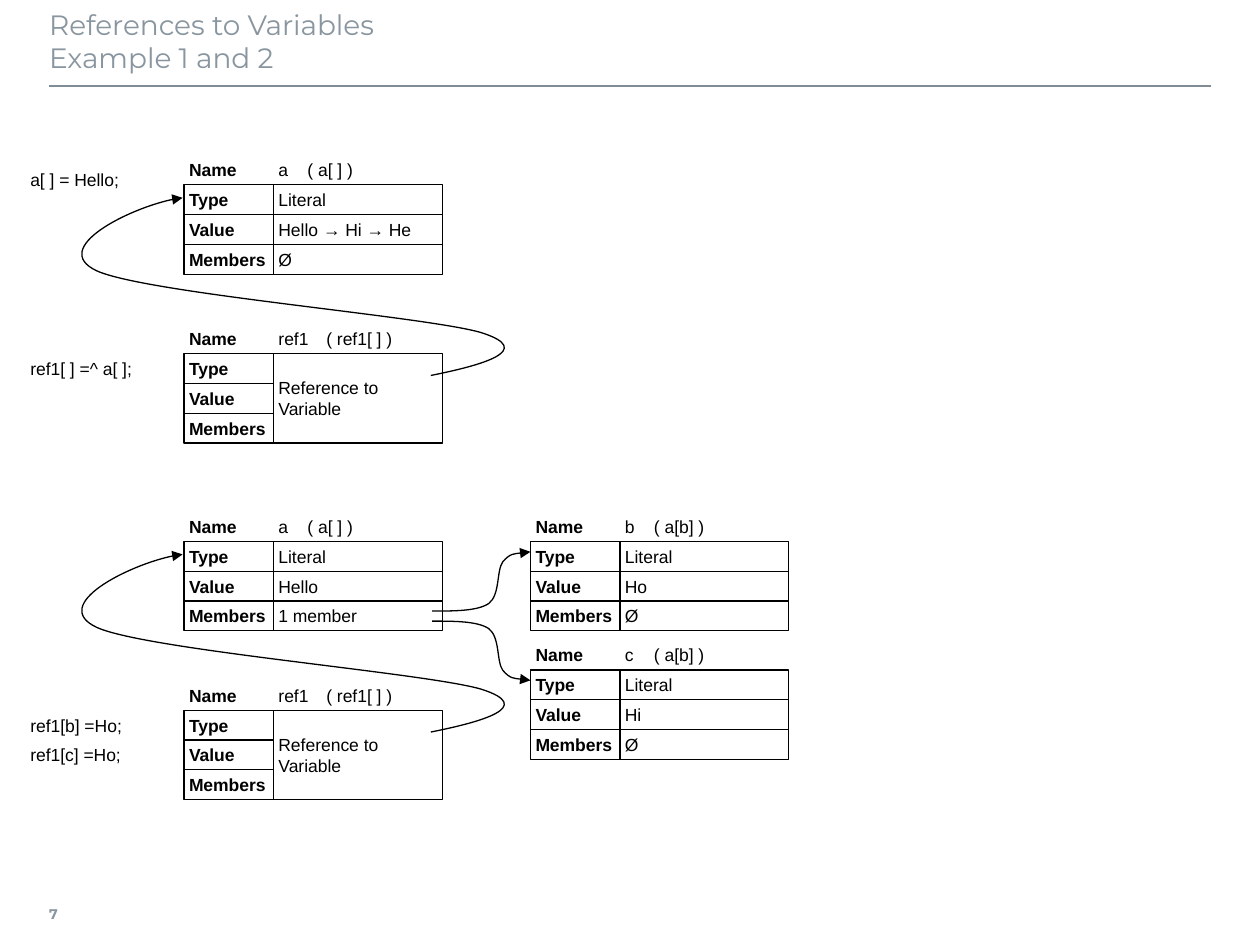
import pptx
import pptx.dml.color
import pptx.enum.shapes
import pptx.enum.text
import pptx.oxml.ns
import pptx.util
from lxml import etree

WIDTH, HEIGHT = 10, 7.5
MARGIN = 0.39
KEY_WIDTH, VALUE_WIDTH = 0.71, 1.34
ROW = KEY_WIDTH / 3
LEFT_COLUMN, RIGHT_COLUMN = 1.46, 4.21
STATEMENT_LEFT = 0.2
BLACK, RULE_GRAY, TITLE_GRAY = "000000", "808D97", "8996A0"
BODY = {"size": pptx.util.Pt(10), "name": "Arial", "bold": False}
KEY = {**BODY, "bold": True}
TITLE = {"size": pptx.util.Pt(16), "name": "Montserrat", "bold": False}
PAGE_NUMBER = {"size": pptx.util.Pt(8), "name": "Montserrat", "bold": True}
CELL_INSETS = (0.04,) * 4

# Curves in inches from the top left of their box: start, then cubic segments.
LOOP_SIZE = (3.34, 1.41)
LOOP = [(2.76, 1.41),
        (3.16, 1.33), (3.6, 1.21), (3.16, 1.07),
        (2.72, 0.94), (0.51, 0.76), (0.11, 0.58),
        (-0.28, 0.4), (0.47, 0.03), (0.79, 0)]
BRANCH_SIZE = (0.78, 0.47)
BRANCH_UP = [(0, 0.47),
             (0.18, 0.47), (0.36, 0.47), (0.45, 0.41),
             (0.54, 0.34), (0.51, 0.15), (0.56, 0.08),
             (0.62, 0.01), (0.7, 0.01), (0.78, 0)]
BRANCH_DOWN = [(x, BRANCH_SIZE[1] - y) for x, y in BRANCH_UP]


def inches(*lengths):
    return [pptx.util.Inches(length) for length in lengths]


def color(hex_value):
    return pptx.dml.color.RGBColor.from_string(hex_value)


def set_line(shape, hex_value=BLACK, width=0.75):
    shape.line.color.rgb = color(hex_value)
    shape.line.width = pptx.util.Pt(width)


def add_text(slide, box, text, font, hex_value=BLACK, insets=CELL_INSETS,
             outlined=False, wrap=False, anchor="MIDDLE"):
    if outlined:
        rectangle = pptx.enum.shapes.MSO_SHAPE.RECTANGLE
        shape = slide.shapes.add_shape(rectangle, *inches(*box))
        shape.shadow.inherit = False
        shape.fill.background()
        set_line(shape)
    else:
        shape = slide.shapes.add_textbox(*inches(*box))
    frame = shape.text_frame
    frame.text = text
    frame.word_wrap = wrap
    frame.vertical_anchor = pptx.enum.text.MSO_ANCHOR[anchor]
    for side, inset in zip(("left", "top", "right", "bottom"), insets):
        setattr(frame, f"margin_{side}", pptx.util.Inches(inset))
    for paragraph in frame.paragraphs:
        paragraph.alignment = pptx.enum.text.PP_ALIGN.LEFT
        for run in paragraph.runs:
            run.font.color.rgb = color(hex_value)
            for attribute, value in font.items():
                setattr(run.font, attribute, value)
    return shape


def add_tab_stop(shape, position):
    properties = shape.text_frame.paragraphs[0]._p.get_or_add_pPr()
    tabs = etree.SubElement(properties, pptx.oxml.ns.qn("a:tabLst"))
    etree.SubElement(tabs, pptx.oxml.ns.qn("a:tab"),
                     pos=str(pptx.util.Inches(position)), algn="l")


def add_curved_arrow(slide, left, top, size, points):
    x, y, width, height = inches(left, top, *size)
    builder = slide.shapes.build_freeform(x, y)
    builder.add_line_segments([(x + width, y), (x + width, y + height), (x, y + height)])
    shape = builder.convert_to_shape()
    shape.shadow.inherit = False
    shape.fill.background()
    set_line(shape)
    outline = shape._element.spPr.find(".//" + pptx.oxml.ns.qn("a:path"))
    outline.set("fill", "none")
    for child in list(outline):
        outline.remove(child)
    segments = [("a:moveTo", points[:1])]
    segments += [("a:cubicBezTo", points[i:i + 3]) for i in range(1, len(points), 3)]
    for tag, segment_points in segments:
        segment = etree.SubElement(outline, pptx.oxml.ns.qn(tag))
        for point in segment_points:
            px, py = inches(*point)
            etree.SubElement(segment, pptx.oxml.ns.qn("a:pt"), x=str(px), y=str(py))
    etree.SubElement(shape.line._get_or_add_ln(), pptx.oxml.ns.qn("a:tailEnd"),
                     type="triangle")


def add_record(slide, left, top, name, address, values):
    """Place a variable's name row above its type, value and members rows."""
    value_left = left + KEY_WIDTH
    for row, key in enumerate(("Name", "Type", "Value", "Members")):
        add_text(slide, (left, top + row * ROW, KEY_WIDTH, ROW), key, KEY,
                 outlined=row > 0)
    heading = add_text(slide, (value_left, top, VALUE_WIDTH, ROW),
                       f"{name}\t{address}", BODY, wrap=True)
    add_tab_stop(heading, 0.18 + 0.05 * len(name))
    height = 3 * ROW / len(values)
    for row, value in enumerate(values):
        add_text(slide, (value_left, top + ROW + row * height, VALUE_WIDTH, height),
                 value, BODY, outlined=True)


def add_statement(slide, top, code):
    add_text(slide, (STATEMENT_LEFT, top, 4 * ROW, ROW), code, BODY)


def add_reference_example(slide, top, values):
    """Place variable a, the reference below it and the arrow between them."""
    add_record(slide, LEFT_COLUMN, top, "a", "( a[ ] )", values)
    add_record(slide, LEFT_COLUMN, top + 1.34, "ref1", "( ref1[ ] )",
               ["Reference to\nVariable"])
    add_curved_arrow(slide, 0.66, top + 0.34, LOOP_SIZE, LOOP)


def add_first_example(slide, top):
    add_reference_example(slide, top, ["Literal", "Hello → Hi → He", "Ø"])
    add_statement(slide, top + 0.08, "a[ ] = Hello;")
    add_statement(slide, top + 1.34 + ROW, "ref1[ ] =^ a[ ];")


def add_second_example(slide, top):
    add_reference_example(slide, top, ["Literal", "Hello", "1 member"])
    for row, code in enumerate(("ref1[b] =Ho;", "ref1[c] =Ho;"), start=1):
        add_statement(slide, top + 1.34 + row * ROW, code)
    members = [("b", "Ho", 0, 0.32, BRANCH_UP), ("c", "Hi", 1.02, 0.87, BRANCH_DOWN)]
    for name, value, offset, arrow_offset, branch in members:
        add_record(slide, RIGHT_COLUMN, top + offset, name, "( a[b] )",
                   ["Literal", value, "Ø"])
        add_curved_arrow(slide, 3.43, top + arrow_offset, BRANCH_SIZE, branch)


def add_frame(slide):
    """Place the title, the rule below it and the page number."""
    rule = slide.shapes.add_connector(
        pptx.enum.shapes.MSO_CONNECTOR.STRAIGHT,
        *inches(MARGIN, 0.68, WIDTH - MARGIN, 0.68))
    set_line(rule, RULE_GRAY, 1)
    etree.SubElement(rule._element.spPr, pptx.oxml.ns.qn("a:effectLst"))
    add_text(slide, (MARGIN, 0.01, 9.21, 0.63),
             "References to Variables\vExample 1 and 2", TITLE, TITLE_GRAY,
             insets=(0, 0.05, 0.1, 0.05), wrap=True, anchor="TOP")
    add_text(slide, (MARGIN, HEIGHT - 0.44, 0.35, 0.39), "7", PAGE_NUMBER,
             TITLE_GRAY, insets=(0, 0.05, 0.08, 0.05))


def main():
    presentation = pptx.Presentation()
    presentation.slide_width, presentation.slide_height = inches(WIDTH, HEIGHT)
    slide = presentation.slides.add_slide(presentation.slide_layouts[6])
    add_frame(slide)
    add_first_example(slide, 1.23)
    add_second_example(slide, 4.06)
    presentation.save("out.pptx")


if __name__ == "__main__":
    main()
